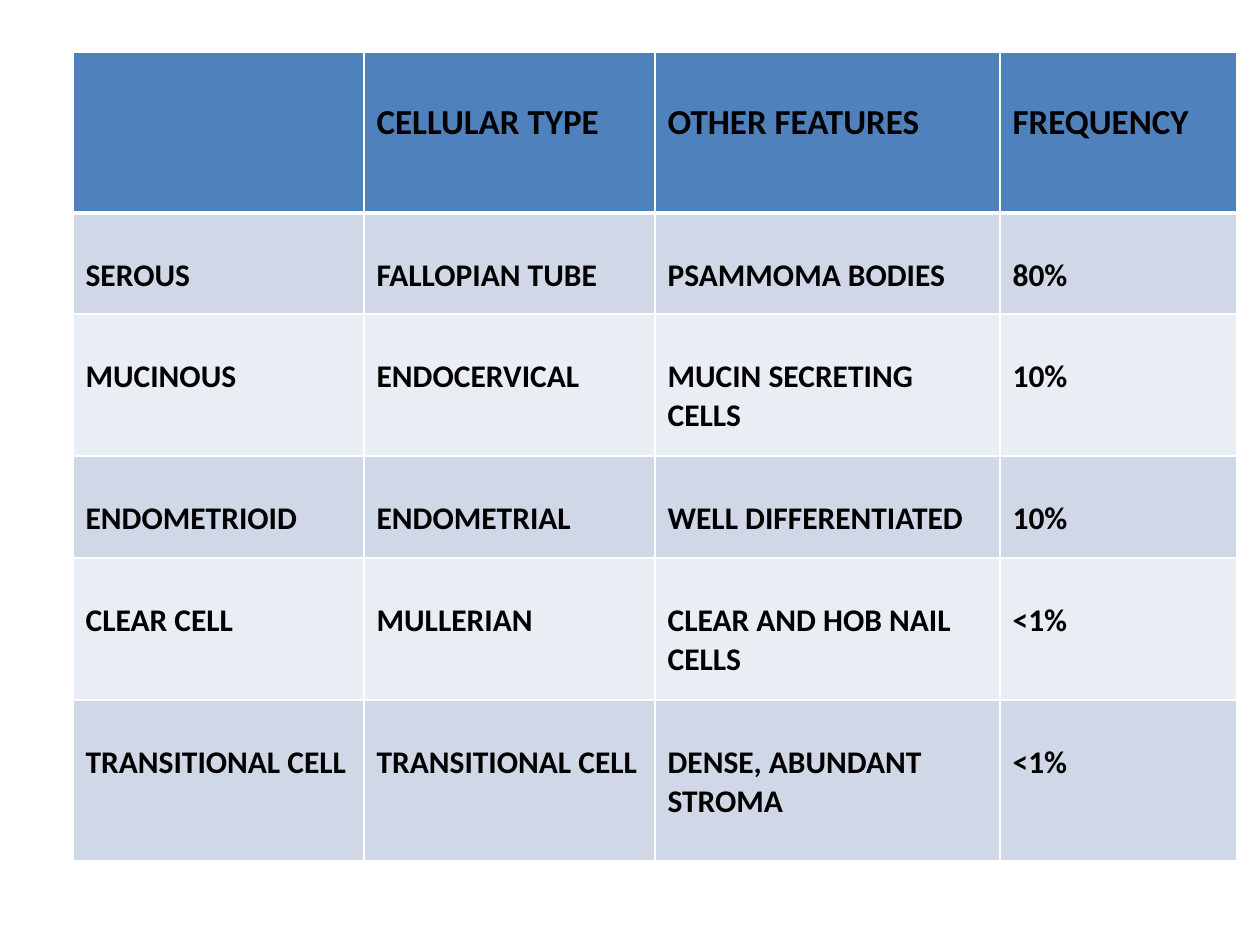
from dataclasses import dataclass

from lxml.etree import SubElement
from pptx import Presentation
from pptx.dml.color import RGBColor
from pptx.oxml.ns import qn
from pptx.util import Emu, Pt

EMU_PER_PX = 914400 / 126
COLUMN_WIDTHS = (291, 291, 345, 237)
HEADER_FILL, DARK_BAND, LIGHT_BAND = "4F81BD", "D0D8E8", "E9EDF4"
WHITE, BLACK = "FFFFFF", "000000"


@dataclass
class Row:
    height: int
    texts: tuple[str, ...]


ROWS = (
    Row(161, ("", "CELLULAR TYPE", "OTHER FEATURES", "FREQUENCY")),
    Row(101, ("SEROUS", "FALLOPIAN TUBE", "PSAMMOMA BODIES", "80%")),
    Row(142, ("MUCINOUS", "ENDOCERVICAL", "MUCIN SECRETING CELLS", "10%")),
    Row(102, ("ENDOMETRIOID", "ENDOMETRIAL", "WELL DIFFERENTIATED", "10%")),
    Row(142, ("CLEAR CELL", "MULLERIAN", "CLEAR AND HOB NAIL CELLS", "<1%")),
    Row(161, ("TRANSITIONAL CELL", "TRANSITIONAL CELL",
              "DENSE, ABUNDANT STROMA", "<1%")),
)


def px(n: int) -> Emu:
    return Emu(round(n * EMU_PER_PX))


def color(value: str) -> RGBColor:
    return RGBColor.from_string(value)


def set_borders(cell, top: int, bottom: int) -> None:
    """Draw white cell borders; widths are in points."""
    tc_pr = cell._tc.get_or_add_tcPr()
    widths = {"a:lnL": 1, "a:lnR": 1, "a:lnT": top, "a:lnB": bottom}
    for i, (tag, width) in enumerate(widths.items()):
        ln = SubElement(tc_pr, qn(tag), w=str(Pt(width)))
        fill = SubElement(ln, qn("a:solidFill"))
        SubElement(fill, qn("a:srgbClr"), val=WHITE)
        tc_pr.insert(i, ln)  # borders come before the fill


def fill_cell(cell, text: str, row_index: int) -> None:
    is_header = row_index == 0
    band = DARK_BAND if row_index % 2 else LIGHT_BAND
    cell.fill.solid()
    cell.fill.fore_color.rgb = color(HEADER_FILL if is_header else band)
    set_borders(cell, 3 if row_index == 1 else 1, 3 if is_header else 1)

    # The top margin leaves one line free above the text
    cell.margin_top = px(49 if is_header else 44)
    cell.text_frame.text = text
    p = cell.text_frame.paragraphs[0]
    p.font.size = Pt(20 if is_header else 18)
    for r in p.runs:
        r.font.name = "Calibri"
        r.font.size = p.font.size
        r.font.bold = True
        r.font.color.rgb = color(BLACK)


def main() -> None:
    prs = Presentation()
    prs.slide_width, prs.slide_height = px(1260), px(945)
    s = prs.slides.add_slide(prs.slide_layouts[6])

    # Table grid
    table = s.shapes.add_table(
        len(ROWS), len(COLUMN_WIDTHS), px(73), px(52),
        px(sum(COLUMN_WIDTHS)), px(sum(row.height for row in ROWS)),
    ).table
    for column, width in zip(table.columns, COLUMN_WIDTHS):
        column.width = px(width)

    # Rows: header first, then alternating bands
    for i, row in enumerate(ROWS):
        table.rows[i].height = px(row.height)
        for j, text in enumerate(row.texts):
            fill_cell(table.cell(i, j), text, i)

    prs.save("out.pptx")


if __name__ == "__main__":
    main()
